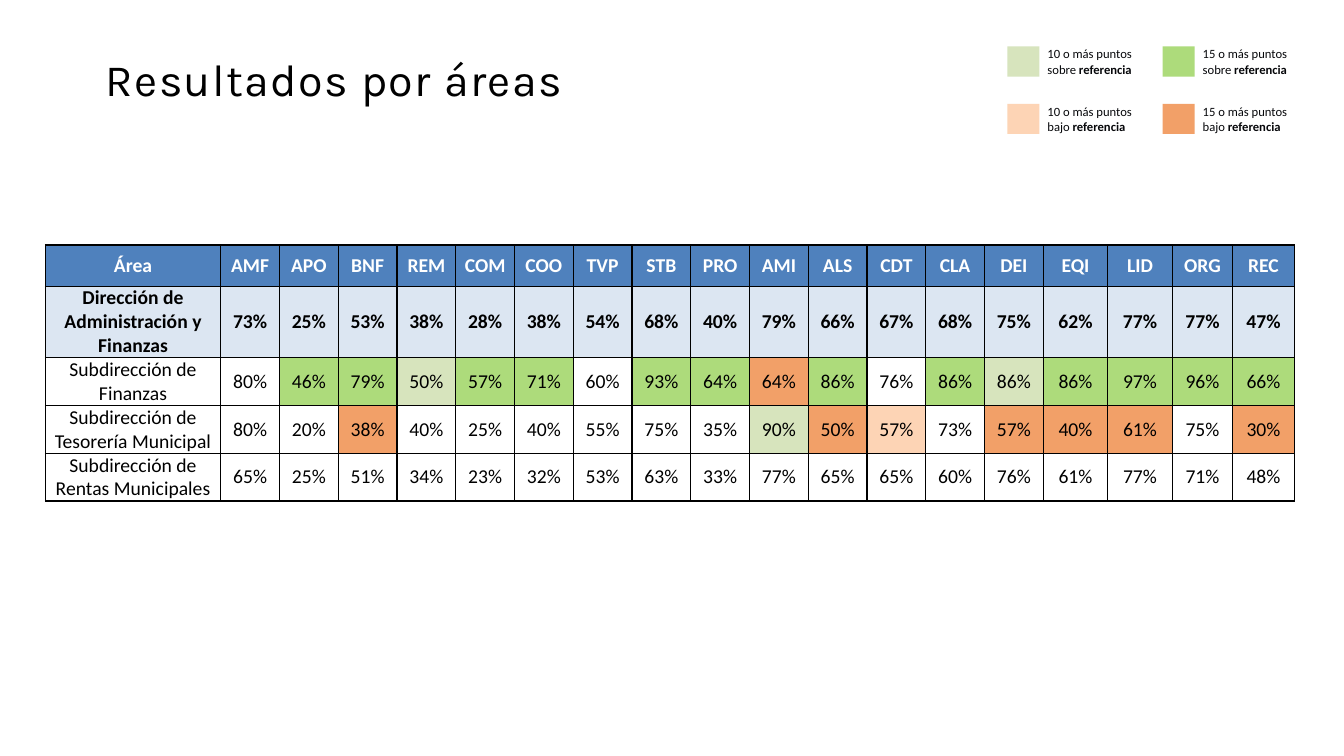
from dataclasses import dataclass
from itertools import product

from lxml import etree
from pptx import Presentation
from pptx.dml.color import RGBColor
from pptx.enum.shapes import MSO_SHAPE
from pptx.enum.text import MSO_ANCHOR, MSO_AUTO_SIZE, PP_ALIGN
from pptx.oxml.ns import qn
from pptx.util import Inches, Pt

RECTANGLE = MSO_SHAPE.RECTANGLE
MIDDLE = MSO_ANCHOR.MIDDLE
NO_AUTOFIT = MSO_AUTO_SIZE.NONE
GROW_SHAPE = MSO_AUTO_SIZE.SHAPE_TO_FIT_TEXT
LEFT, CENTER = PP_ALIGN.LEFT, PP_ALIGN.CENTER
TITLE_ONLY = 5


@dataclass(frozen=True)
class Theme:
    title_font: str = "Karla"
    body_font: str = "Calibri"
    title_size: float = 32
    table_size: float = 14
    legend_size: float = 9
    black: str = "000000"
    white: str = "FFFFFF"
    legend_text: str = "07080B"
    header: str = "4F81BD"
    reference: str = "DCE6F2"
    above_10: str = "D7E4BD"
    above_15: str = "ADDB7B"
    below_10: str = "FDD4B5"
    below_15: str = "F2A068"


THEME = Theme()

CODES = ("AMF APO BNF REM COM COO TVP STB PRO AMI ALS CDT CLA "
         "DEI EQI LID ORG REC").split()
REFERENCE_AREA = "Dirección de Administración y Finanzas"
REFERENCE = [73, 25, 53, 38, 28, 38, 54, 68, 40, 79, 66, 67, 68, 75, 62, 77, 77, 47]
SUBAREAS = {
    "Subdirección de Finanzas":
        [80, 46, 79, 50, 57, 71, 60, 93, 64, 64, 86, 76, 86, 86, 86, 97, 96, 66],
    "Subdirección de Tesorería Municipal":
        [80, 20, 38, 40, 25, 40, 55, 75, 35, 90, 50, 57, 73, 57, 40, 61, 75, 30],
    "Subdirección de Rentas Municipales":
        [65, 25, 51, 34, 23, 32, 53, 63, 33, 77, 65, 65, 60, 76, 61, 77, 71, 48],
}
AREA_WIDTH = 1.74
LAST_WIDTHS = [0.64, 0.64, 0.6, 0.61]
ROW_HEIGHTS = [0.41, 0.47, 0.41, 0.41, 0.41]


def write(frame, text, bold_end="", *, size, color, font=THEME.body_font,
          bold=False, align=LEFT, line_spacing=None, tracking=None):
    paragraph = frame.paragraphs[0]
    paragraph.alignment = align
    paragraph.line_spacing = line_spacing
    for words, weight in ((text, bold), (bold_end, True)):
        if words:
            run = paragraph.add_run()
            run.text = words
            run.font.size = Pt(size)
            run.font.name = font
            run.font.bold = weight
            run.font.color.rgb = RGBColor.from_string(color)
            if tracking:
                run.font._element.set("spc", str(tracking))


def clear_margins(owner):
    owner.margin_left = owner.margin_right = 0
    owner.margin_top = owner.margin_bottom = 0


def add_title(slide, left, top, width, height):
    title = slide.shapes.title
    title.left, title.top = Inches(left), Inches(top)
    title.width, title.height = Inches(width), Inches(height)
    frame = title.text_frame
    clear_margins(frame)
    frame.auto_size = NO_AUTOFIT
    frame.vertical_anchor = MIDDLE
    write(frame, "Resultados por áreas", size=THEME.title_size,
          font=THEME.title_font, color=THEME.black, line_spacing=0.9, tracking=100)


def add_legend(slide, left, top, width, height):
    label_width, label_height = 1.12, 0.4
    label_offset = 0.3
    step_x = width - label_offset - label_width
    step_y = height - label_height
    colors = [THEME.above_10, THEME.above_15, THEME.below_10, THEME.below_15]
    entries = product(enumerate(["sobre", "bajo"]), enumerate([10, 15]))
    for color, ((row, side), (column, points)) in zip(colors, entries):
        x, y = left + column * step_x, top + row * step_y
        swatch = slide.shapes.add_shape(
            RECTANGLE, Inches(x), Inches(y + 0.05), Inches(0.32), Inches(0.3))
        swatch.shadow.inherit = False
        swatch.fill.solid()
        swatch.fill.fore_color.rgb = RGBColor.from_string(color)
        swatch.line.fill.background()
        label = slide.shapes.add_textbox(
            Inches(x + label_offset), Inches(y),
            Inches(label_width), Inches(label_height)).text_frame
        label.word_wrap = True
        label.auto_size = GROW_SHAPE
        write(label, f"{points} o más puntos {side} ", "referencia",
              size=THEME.legend_size, color=THEME.legend_text)


def gap_fill(value, reference):
    gap = value - reference
    if abs(gap) < 10:
        return None
    if gap > 0:
        return THEME.above_15 if gap >= 15 else THEME.above_10
    return THEME.below_15 if gap <= -15 else THEME.below_10


def add_borders(cell):
    properties = cell._tc.get_or_add_tcPr()
    for position, side in enumerate(("a:lnL", "a:lnR", "a:lnT", "a:lnB")):
        border = etree.Element(qn(side), w=str(Pt(1)))
        solid = etree.SubElement(border, qn("a:solidFill"))
        etree.SubElement(solid, qn("a:srgbClr"), val=THEME.black)
        properties.insert(position, border)


def fill_cell(cell, text, fill, color=THEME.black, bold=False):
    clear_margins(cell)
    cell.vertical_anchor = MIDDLE
    if fill:
        cell.fill.solid()
        cell.fill.fore_color.rgb = RGBColor.from_string(fill)
    else:
        cell.fill.background()
    add_borders(cell)
    write(cell.text_frame, text, size=THEME.table_size, color=color,
          bold=bold, align=CENTER)


def add_results(slide, left, top, width):
    table = slide.shapes.add_table(
        len(ROW_HEIGHTS), len(CODES) + 1, Inches(left), Inches(top),
        Inches(width), Inches(sum(ROW_HEIGHTS))).table
    table.horz_banding = False
    regular_count = len(CODES) - len(LAST_WIDTHS)
    regular_width = (width - AREA_WIDTH - sum(LAST_WIDTHS)) / regular_count
    widths = [AREA_WIDTH] + [regular_width] * regular_count + LAST_WIDTHS
    for column, column_width in zip(table.columns, widths):
        column.width = Inches(column_width)
    for row, row_height in zip(table.rows, ROW_HEIGHTS):
        row.height = Inches(row_height)

    for column, heading in enumerate(["Área"] + CODES):
        fill_cell(table.cell(0, column), heading, THEME.header, THEME.white, bold=True)
    fill_cell(table.cell(1, 0), REFERENCE_AREA, THEME.reference, bold=True)
    for column, value in enumerate(REFERENCE, 1):
        fill_cell(table.cell(1, column), f"{value}%", THEME.reference, bold=True)
    for row, (area, values) in enumerate(SUBAREAS.items(), 2):
        fill_cell(table.cell(row, 0), area, None)
        for column, (value, reference) in enumerate(zip(values, REFERENCE), 1):
            fill_cell(table.cell(row, column), f"{value}%", gap_fill(value, reference))


def main():
    presentation = Presentation()
    presentation.slide_width = Inches(13.33)
    presentation.slide_height = Inches(7.5)
    slide = presentation.slides.add_slide(presentation.slide_layouts[TITLE_ONLY])
    add_results(slide, 0.45, 2.43, 12.39)
    add_title(slide, 1.05, 0.41, 6.41, 0.81)
    add_legend(slide, 9.99, 0.41, 2.96, 0.97)
    presentation.save("out.pptx")


if __name__ == "__main__":
    main()
